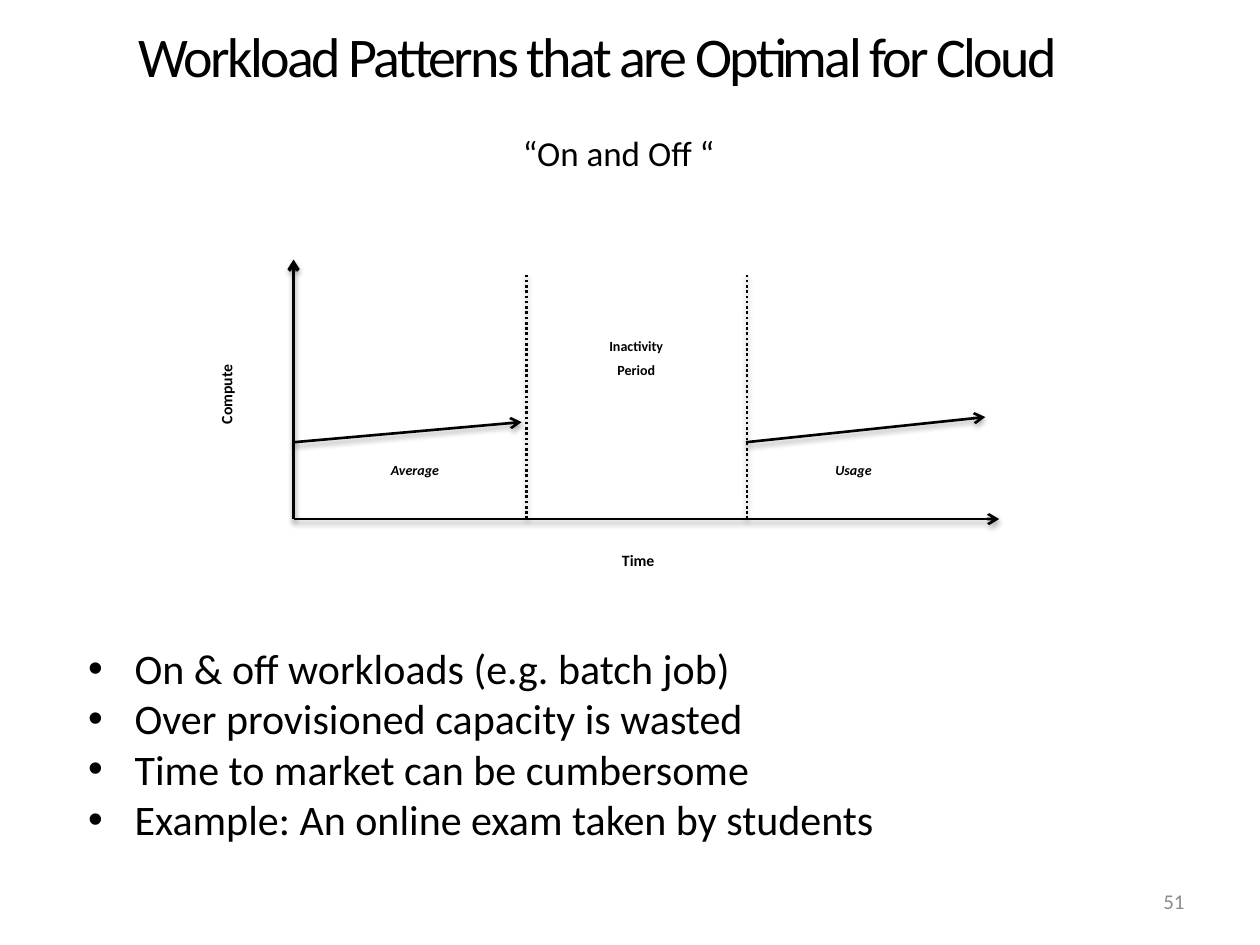
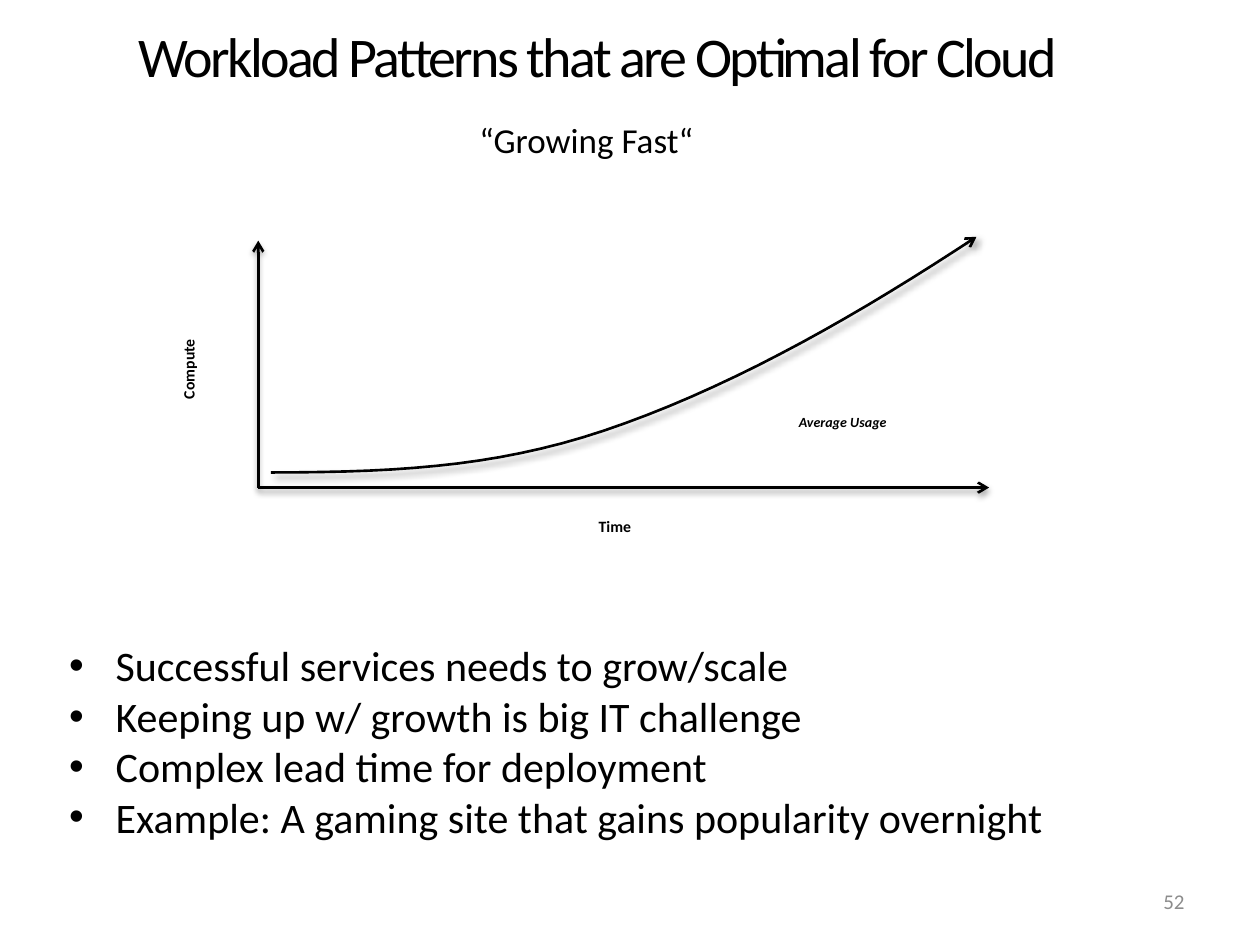
from lxml import etree
from pptx import Presentation
from pptx import util as u
from pptx.dml.color import RGBColor
from pptx.enum import dml, shapes, text
from pptx.oxml.ns import qn

HUES = {"ink": "000000", "page": "8C8C8C"}
FONT = "Calibri"
MID, RIGHT = text.PP_ALIGN.CENTER, text.PP_ALIGN.RIGHT
TITLE = "Workload Patterns that are Optimal for Cloud"
AXIS = {"size": 9, "bold": True, "lead": u.Pt(8)}
NOTE = {"size": 8, "bold": True, "slant": True, "pad": (0, 0)}
SOFT = (35, 3.1, 1.8, 90)
HARD = (40, 4, 3, 45)


def color(name):
    return RGBColor.from_string(HUES[name])


def add_bullet(para):
    props = para._p.get_or_add_pPr()
    props.set("marL", str(u.Inches(0.37)))
    props.set("indent", str(-u.Inches(0.37)))
    etree.SubElement(props, qn("a:buFont"), typeface="Arial")
    etree.SubElement(props, qn("a:buChar"), char="•")


def add_text(slide, at, lines, size, hue="ink", align=MID, bold=False,
             slant=False, lead=None, after=0, pad=(0.1, 0.05), turn=0,
             bullet=False, track=None, anchor=text.MSO_ANCHOR.TOP):
    """Add a text box; pad is the side and the top/bottom inset in inches."""
    box = slide.shapes.add_textbox(*map(u.Inches, at))
    box.rotation = turn
    frame = box.text_frame
    frame.word_wrap = True
    frame.vertical_anchor = anchor
    frame.margin_left = frame.margin_right = u.Inches(pad[0])
    frame.margin_top = frame.margin_bottom = u.Inches(pad[1])
    frame.text = "\n".join(lines)
    for para in frame.paragraphs:
        if bullet:
            add_bullet(para)
        para.alignment = align
        para.space_after = u.Pt(after)
        if lead:
            para.line_spacing = lead
        font = para.font
        font.name, font.size = FONT, u.Pt(size)
        font.bold, font.italic = bold, slant
        font.color.rgb = color(hue)
        if track:
            para.runs[0]._r.get_or_add_rPr().set("spc", str(track))


def style_line(shape, width, arrow, shade, dash=None):
    """Ink a line; shade is shadow opacity, blur, distance and angle."""
    line = shape.line
    line.width = u.Pt(width)
    line.color.rgb = color("ink")
    if dash:
        line.dash_style = dash
    if arrow:
        etree.SubElement(line._get_or_add_ln(), qn("a:tailEnd"), type="arrow")
    alpha, blur, dist, angle = shade
    props = shape._element.spPr
    for old in props.findall(qn("a:effectLst")):
        props.remove(old)
    effect = etree.SubElement(props, qn("a:effectLst"))
    cast = etree.SubElement(
        effect, qn("a:outerShdw"), blurRad=str(u.Pt(blur)),
        dist=str(u.Pt(dist)), dir=str(angle * 60000), rotWithShape="0")
    tint = etree.SubElement(cast, qn("a:srgbClr"), val=HUES["ink"])
    etree.SubElement(tint, qn("a:alpha"), val=str(alpha * 1000))


def add_line(slide, start, end, width=1.5, arrow=True, dash=None):
    line = slide.shapes.add_connector(
        shapes.MSO_CONNECTOR.STRAIGHT, *map(u.Inches, start + end))
    style_line(line, width, arrow, SOFT, dash)


def bezier(knots, steps=16):
    """Return the points of a cubic curve after its first knot."""
    points = []
    for i in range(1, steps + 1):
        t = i / steps
        rates = ((1 - t) ** 3, 3 * t * (1 - t) ** 2, 3 * t * t * (1 - t), t ** 3)
        points.append(tuple(u.Inches(sum(r * k[axis] for r, k in zip(rates, knots)))
                            for axis in (0, 1)))
    return points


def add_curve(slide, knots):
    pen = slide.shapes.build_freeform(*map(u.Inches, knots[0]))
    for i in range(0, len(knots) - 1, 3):
        pen.add_line_segments(bezier(knots[i:i + 4]), close=False)
    curve = pen.convert_to_shape()
    curve.fill.background()
    style_line(curve, 1.5, True, HARD)


def add_axes(slide, origin, top, right, compute, time, width=1.5):
    add_line(slide, origin, (origin[0], top), width)
    add_line(slide, origin, (right, origin[1]))
    add_text(slide, compute, ["Compute"], turn=270, **AXIS)
    add_text(slide, time, ["Time"], **AXIS)


def add_page(deck, number, name, name_at, points, points_at):
    slide = deck.slides.add_slide(deck.slide_layouts[6])
    add_text(slide, (0.1, 0.23, 9.29, 0.49), [TITLE], 32,
             lead=0.9, pad=(0, 0), track=-150)
    add_text(slide, name_at, [name], 20, lead=0.9, pad=(0, 0.05))
    add_text(slide, points_at, points, 24, align=text.PP_ALIGN.LEFT, bullet=True)
    add_text(slide, (7.17, 6.95, 2.33, 0.4), [str(number)], 12, "page", RIGHT,
             anchor=text.MSO_ANCHOR.MIDDLE)
    return slide


def draw_pauses(deck):
    slide = add_page(
        deck, 51, "“On and Off “", (2.82, 1.03, 4.18, 0.85),
        ["On & off workloads (e.g. batch job)",
         "Over provisioned capacity is wasted",
         "Time to market can be cumbersome",
         "Example: An online exam taken by students"],
        (0.6, 5.05, 9.01, 1.72))
    add_axes(slide, (2.33, 4.12), 2.06, 7.93, (1.14, 2.9, 1.6, 0.46),
             (4.28, 4.36, 1.57, 0.45), width=2)
    for x in (4.18, 5.93):
        add_line(slide, (x, 4.12), (x, 2.16), arrow=False,
                 dash=dml.MSO_LINE.ROUND_DOT)
    add_line(slide, (2.33, 3.51), (4.14, 3.35))
    add_line(slide, (5.92, 3.51), (7.82, 3.31))
    for word, x in (("Average", 2.28), ("Usage", 5.76)):
        add_text(slide, (x, 3.66, 2.03, 0.31), [word], **NOTE)
    add_text(slide, (4.06, 2.65, 1.98, 0.6), ["Inactivity", "Period"], 8,
             bold=True, lead=u.Pt(8), after=6)


def draw_growth(deck):
    slide = add_page(
        deck, 52, "“Growing Fast“", (1.16, 0.93, 6.99, 0.8),
        ["Successful services needs to grow/scale",
         "Keeping up w/ growth is big IT challenge",
         "Complex lead time for deployment",
         "Example: A gaming site that gains popularity overnight"],
        (0.45, 5.03, 9.24, 1.8))
    add_axes(slide, (2.05, 3.87), 1.91, 7.85, (0.89, 2.69, 1.52, 0.48),
             (4.07, 4.09, 1.62, 0.43))
    add_text(slide, (5.64, 3.28, 2.1, 0.29), ["Average Usage"], **NOTE)
    # The drawn curve starts just right of the vertical axis.
    add_curve(slide, [(2.15, 3.75), (3.26, 3.75), (4.06, 3.69), (4.96, 3.36),
                      (5.9, 3.02), (6.84, 2.48), (7.75, 1.88)])


def main():
    deck = Presentation()
    deck.slide_width, deck.slide_height = u.Inches(10), u.Inches(7.5)
    draw_pauses(deck)
    draw_growth(deck)
    deck.save("out.pptx")


if __name__ == "__main__":
    main()
